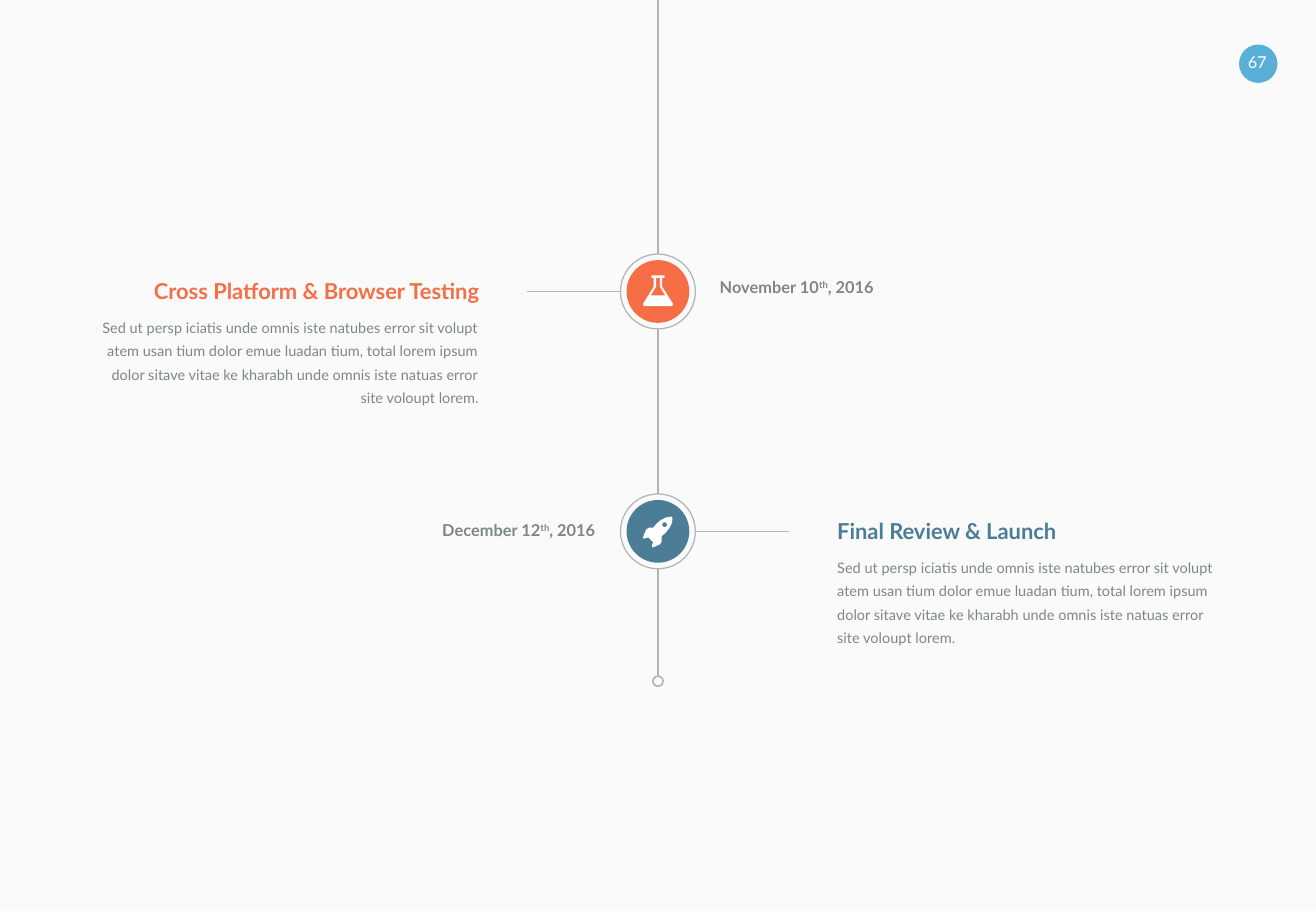
from math import cos, pi, sin

from lxml import etree
from pptx import Presentation
from pptx import util as u
from pptx.dml.color import RGBColor
from pptx.enum import shapes, text
from pptx.oxml.ns import qn

PX = 7620  # 120 px to the inch
PAGE_W, PAGE_H = 1300, 900

PAPER = RGBColor(0xFA, 0xFA, 0xFA)
WHITE = RGBColor(0xFF, 0xFF, 0xFF)
LINE_GREY = RGBColor(0xB0, 0xB6, 0xB6)
TEXT_GREY = RGBColor(0x7D, 0x87, 0x87)
SKY = RGBColor(0x5A, 0xAF, 0xD7)
ORANGE = RGBColor(0xF5, 0x6E, 0x46)
BLUE = RGBColor(0x4B, 0x7D, 0x96)

LEFT, CENTER, RIGHT = text.PP_ALIGN.LEFT, text.PP_ALIGN.CENTER, text.PP_ALIGN.RIGHT
DATE = {"size": u.Pt(9.7), "bold": True}
TITLE = {"size": u.Pt(13), "bold": True}
BODY = {"size": u.Pt(8.6)}
NUMBER = {"size": u.Pt(9.7)}

RING_R, DISC_R, DOT_R = 37, 31, 5
SPINE_X, SPINE_END = 650, 668
TEXT_W, DATE_W = 376, 211
BODY_TEXT = (
    "Sed ut persp iciatis unde omnis iste natubes error sit volupt atem usan tium "
    "dolor emue luadan tium, total lorem ipsum dolor sitave vitae ke kharabh unde "
    "omnis iste natuas error site voloupt lorem."
)


# Icon outlines in tenths of a px around the disc centre
def mirrored(half):
    return half + [(-x, y) for x, y in reversed(half)]


def round_outline(x, y, radius, steps=16):
    return [(x + radius * cos(2 * pi * i / steps), y + radius * sin(2 * pi * i / steps))
            for i in range(steps)]


FLASK = [
    mirrored([(60, -160), (66, -147), (60, -134), (42, -134), (42, -45), (138, 105),
              (148, 125), (142, 140), (125, 146)]),
    mirrored([(18, -134), (18, -45), (25, -36), (73, 40)]),
]
ROCKET = [
    [(36, 48), (75, 15), (115, -35), (140, -85), (144, -132), (140, -142), (132, -146),
     (80, -138), (30, -113), (-15, -75), (-48, -36), (-90, -36), (-115, -18), (-135, 25),
     (-148, 62), (-142, 72), (-96, 60), (-48, 108), (-60, 144), (-55, 157), (-42, 156),
     (20, 128), (38, 100)],
    round_outline(66, -66, 24),
]


def add_circle(page, x, y, radius, fill=None, line_width=None):
    circle = page.shapes.add_shape(
        shapes.MSO_SHAPE.OVAL, *(v * PX for v in (x - radius, y - radius, 2 * radius, 2 * radius)))
    circle.shadow.inherit = False
    if fill is None:
        circle.fill.background()
    else:
        circle.fill.solid()
        circle.fill.fore_color.rgb = fill
    if line_width is None:
        circle.line.fill.background()
    else:
        circle.line.color.rgb = LINE_GREY
        circle.line.width = u.Pt(line_width)


def add_line(page, x1, y1, x2, y2):
    line = page.shapes.add_connector(
        shapes.MSO_CONNECTOR.STRAIGHT, *(v * PX for v in (x1, y1, x2, y2)))
    line.line.color.rgb = LINE_GREY
    line.line.width = u.Pt(1)
    etree.SubElement(line._element.spPr, qn("a:effectLst"))


def add_text(page, bounds, parts, style, color, align, spacing=None):
    """Parts are plain strings; every second one is raised."""
    box = page.shapes.add_textbox(*(v * PX for v in bounds))
    frame = box.text_frame
    frame.word_wrap = True
    for side in ("left", "top", "right", "bottom"):
        setattr(frame, f"margin_{side}", 0)
    para = frame.paragraphs[0]
    para.alignment = align
    para.line_spacing = spacing
    for index, part in enumerate(parts):
        span = para.add_run()
        span.text = part
        span.font.color.rgb = color
        for name, value in {"name": "Lato", **style}.items():
            setattr(span.font, name, value)
        if index % 2:
            span._r.get_or_add_rPr().set("baseline", "30000")


def add_icon(page, x, y, outlines):
    builder = None
    for outline in outlines:
        start, *others = [(round(px), round(py)) for px, py in outline]
        if builder is None:
            builder = page.shapes.build_freeform(*start, scale=PX / 10)
        else:
            builder.move_to(*start)
        builder.add_line_segments(others, close=True)
    icon = builder.convert_to_shape(x * PX, y * PX)
    icon.shadow.inherit = False
    icon.fill.solid()
    icon.fill.fore_color.rgb = WHITE
    icon.line.fill.background()


def add_milestone(page, x, y, side, color, outlines, title, date, date_top):
    """Side is -1 with the story on the left, 1 with it on the right."""
    add_line(page, x + side * RING_R, y, x + side * 129, y)
    add_circle(page, x, y, RING_R, line_width=0.75)
    add_circle(page, x, y, DISC_R, fill=color)
    add_icon(page, x, y, outlines)

    story_left, story_align = (x + 177, LEFT) if side > 0 else (x - 177 - TEXT_W, RIGHT)
    date_left, date_align = (x - 62 - DATE_W, RIGHT) if side > 0 else (x + 61, LEFT)
    add_text(page, (date_left, date_top, DATE_W, 19), date, DATE, TEXT_GREY, date_align)
    add_text(page, (story_left, y - 14, TEXT_W, 26), [title], TITLE, color, story_align)
    add_text(page, (story_left, y + 21, TEXT_W, 95), [BODY_TEXT], BODY, TEXT_GREY,
             story_align, 1.35)


def add_page_number(page, x, y, number):
    add_circle(page, x, y, 19, fill=SKY)
    add_text(page, (x - 17, y - 11, 32, 19), [number], NUMBER, WHITE, CENTER)


def add_timeline(page, x, end, milestones):
    # Spine pieces between the rings, closed by a small dot
    top = 0
    for milestone in milestones:
        add_line(page, x, top, x, milestone["y"] - RING_R)
        top = milestone["y"] + RING_R
    add_line(page, x, top, x, end)
    add_circle(page, x, end + DOT_R, DOT_R, line_width=1)
    for milestone in milestones:
        add_milestone(page, x, **milestone)


def main():
    deck = Presentation()
    deck.slide_width, deck.slide_height = PAGE_W * PX, PAGE_H * PX
    page = deck.slides.add_slide(deck.slide_layouts[6])
    page.background.fill.solid()
    page.background.fill.fore_color.rgb = PAPER

    add_page_number(page, 1243, 63, "67")
    add_timeline(page, SPINE_X, SPINE_END, [
        {"y": 288, "side": -1, "color": ORANGE, "outlines": FLASK, "date_top": 274,
         "title": "Cross Platform & Browser Testing",
         "date": ["November 10", "th", ", 2016"]},
        {"y": 525, "side": 1, "color": BLUE, "outlines": ROCKET, "date_top": 514,
         "title": "Final Review & Launch",
         "date": ["December 12", "th", ", 2016"]},
    ])
    deck.save("out.pptx")


if __name__ == "__main__":
    main()
